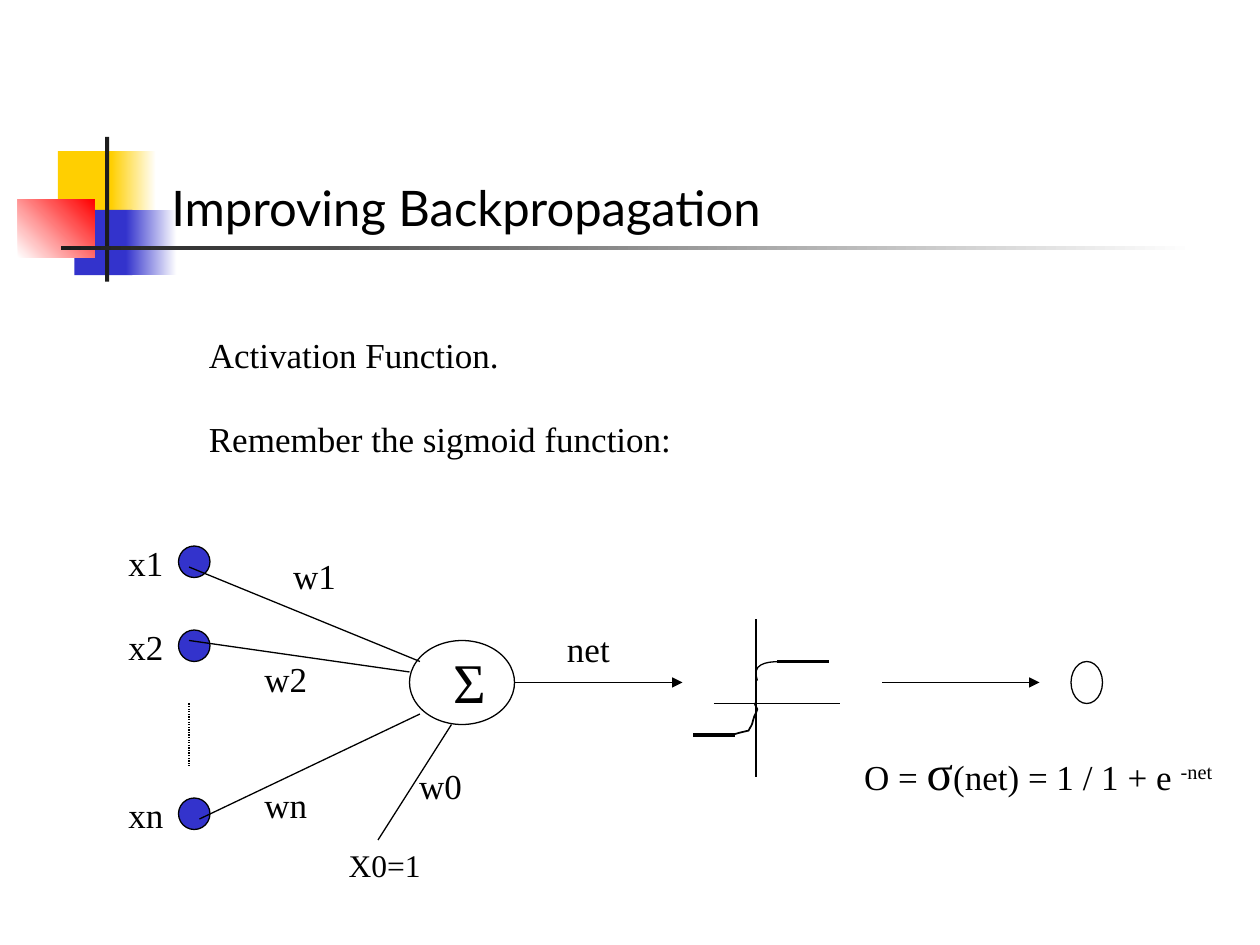
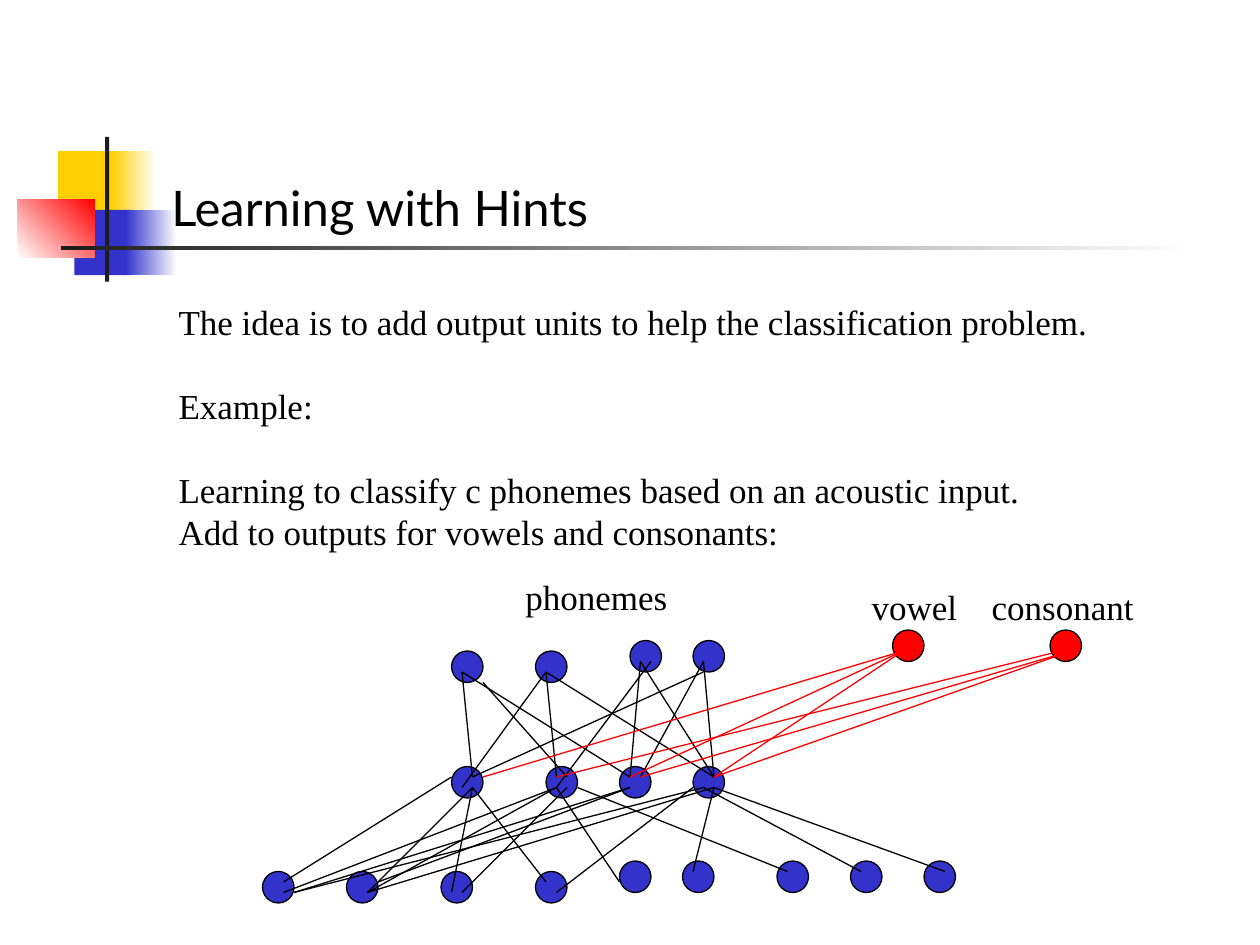
"""Build two neural network slides: the sigmoid unit and learning with hints."""
from dataclasses import dataclass
from typing import NamedTuple

from lxml import etree
from pptx import Presentation
from pptx.dml.color import RGBColor
from pptx.enum.dml import MSO_LINE
from pptx.enum.shapes import MSO_CONNECTOR, MSO_SHAPE
from pptx.enum.text import MSO_ANCHOR, MSO_AUTO_SIZE, PP_ALIGN
from pptx.oxml.ns import qn
from pptx.util import Cm, Length, Pt

OVAL = MSO_SHAPE.OVAL
RECTANGLE = MSO_SHAPE.RECTANGLE
STRAIGHT = MSO_CONNECTOR.STRAIGHT
DOTTED = MSO_LINE.ROUND_DOT
BOTTOM = MSO_ANCHOR.BOTTOM
LEFT = PP_ALIGN.LEFT
NO_AUTO_SIZE = MSO_AUTO_SIZE.NONE
FIT_SHAPE = MSO_AUTO_SIZE.SHAPE_TO_FIT_TEXT

GRID_CM = 2.54 / 12
DOT_SIZE = 3
TITLE_ONLY = 5
CURVE_STEPS = 8
FIRST_BAND_ID = 101


@dataclass(frozen=True)
class Theme:
    """Colours, fonts and type sizes of the presentation."""
    black: RGBColor = RGBColor(0x00, 0x00, 0x00)
    white: RGBColor = RGBColor(0xFF, 0xFF, 0xFF)
    ink: RGBColor = RGBColor(0x1C, 0x1C, 0x1C)
    blue: RGBColor = RGBColor(0x33, 0x33, 0xCC)
    yellow: RGBColor = RGBColor(0xFF, 0xCF, 0x01)
    red: RGBColor = RGBColor(0xFF, 0x00, 0x00)
    title_font: str = "Lato"
    body_font: str = "Times New Roman"
    title_size: int = 28
    body_size: int = 20
    small_size: int = 18
    sigma_size: int = 28
    sum_size: int = 32
    line_factor: float = 1.2
    thin: float = 0.75
    medium: float = 1
    thick: float = 2.25


THEME = Theme()


class Band(NamedTuple):
    """A master rectangle in centimetres, solid or fading between two colours."""
    left: float
    top: float
    width: float
    height: float
    start: RGBColor
    end: RGBColor | None = None
    angle: int = 0


class Node(NamedTuple):
    """An ellipse in grid units."""
    left: int
    top: int
    fill: RGBColor | None = THEME.blue
    width: int = DOT_SIZE
    height: int = DOT_SIZE


class Link(NamedTuple):
    """A straight line in grid units."""
    x1: int
    y1: int
    x2: int
    y2: int
    color: RGBColor = THEME.black
    weight: float = THEME.thin
    arrow: bool = False
    dotted: bool = False


class Piece(NamedTuple):
    """A run of text with its size."""
    text: str
    size: int = THEME.body_size
    superscript: bool = False


class Line(NamedTuple):
    """A paragraph with the number of free lines above it."""
    pieces: list[Piece]
    gap: int = 0


class Label(NamedTuple):
    """A text box in centimetres."""
    left: float
    top: float
    width: float
    height: float
    lines: list[Line]


BANDS = [
    Band(1.17, 3.05, 1.22, 1.32, THEME.yellow),
    Band(2.24, 3.05, 0.91, 1.32, THEME.yellow, THEME.white),
    Band(1.5, 4.23, 1.17, 1.32, THEME.blue),
    Band(2.54, 4.23, 1.02, 1.32, THEME.blue, THEME.white),
    Band(0.36, 4.02, 1.55, 1.17, THEME.white, THEME.red, 45),
    Band(2.12, 2.76, 0.08, 2.92, THEME.ink),
    Band(1.23, 4.95, 22.86, 0.09, THEME.ink, THEME.white),
]

INPUT_TOPS = {"x1": 52, "x2": 60, "xn": 76}
UNIT_NODES = [Node(17, top) for top in INPUT_TOPS.values()] + [
    Node(39, 61, None, 10, 8), Node(102, 63, None, 3, 4)]
UNIT_LINKS = [
    Link(18, 67, 18, 73, dotted=True),
    Link(18, 54, 40, 63), Link(18, 61, 39, 64), Link(19, 78, 40, 68),
    Link(36, 80, 43, 69),
    Link(49, 65, 65, 65, arrow=True), Link(84, 65, 99, 65, arrow=True),
    Link(68, 67, 80, 67), Link(72, 59, 72, 74),
    Link(66, 70, 70, 70, weight=THEME.thick),
    Link(74, 63, 79, 63, weight=THEME.thick),
]
LOWER_CURVE = [
    (14.73, 14.83), (14.86, 14.78), (14.96, 14.76), (15.09, 14.73),
    (15.19, 14.55), (15.14, 14.66), (15.21, 14.43),
    (15.24, 14.38), (15.27, 14.3), (15.27, 14.3),
    (15.24, 14.25), (15.21, 14.17), (15.21, 14.17),
]
UPPER_CURVE = [(15.27, 13.72), (15.14, 13.39), (15.44, 13.34), (15.7, 13.34)]

ROWS = [
    (73, (43, 52, 59, 66)),
    (83, (25, 33, 42, 51)),
    (82, (59, 65, 74, 81, 88)),
    (62, (43, 51)),
    (61, (60, 66)),
]
HINT_NODES = [Node(left, 60, THEME.red) for left in (85, 100)]
HIDDEN_LINKS = {
    (43, 74): [(27, 84)],
    (45, 75): [(35, 85), (43, 85), (52, 84)],
    (53, 75): [(27, 85), (35, 85), (59, 84)],
    (54, 75): [(44, 85)],
    (55, 75): [(75, 83)],
    (60, 75): [(28, 85), (36, 84)],
    (66, 75): [(53, 85)],
    (67, 75): [(28, 85), (82, 83)],
    (68, 75): [(35, 85), (90, 83), (66, 83)],
}
OUTPUT_LINKS = {
    (44, 64): [(60, 74), (45, 74)],
    (46, 65): [(54, 74)],
    (52, 64): [(68, 74), (53, 74), (44, 75)],
    (61, 63): [(60, 74), (68, 74)],
    (62, 63): [(53, 75)],
    (67, 63): [(68, 74), (61, 74)],
    (67, 64): [(45, 74)],
}
HINT_LINKS = {
    (86, 62): [(46, 74), (60, 74), (68, 74)],
    (101, 62): [(53, 74)],
    (102, 62): [(61, 74), (68, 74)],
}


def grid(units: float) -> Length:
    """Convert grid units to a length."""
    return Cm(units * GRID_CM)


def plain(text: str, size: int = THEME.body_size, gap: int = 0) -> Line:
    """Make a paragraph of a single run."""
    return Line([Piece(text, size)], gap)


def fan(links: dict, color: RGBColor = THEME.black) -> list[Link]:
    """List the links from each unit to its targets."""
    return [Link(*start, *end, color) for start, ends in links.items() for end in ends]


def add_bands(presentation, slide) -> None:
    """Draw the title decoration and move it to the back of the master."""
    master_tree = presentation.slide_master.shapes.element
    for index, band in enumerate(BANDS):
        shape = slide.shapes.add_shape(
            RECTANGLE, Cm(band.left), Cm(band.top), Cm(band.width), Cm(band.height))
        shape.shadow.inherit = False
        shape.line.fill.background()
        if band.end is None:
            shape.fill.solid()
            shape.fill.fore_color.rgb = band.start
        else:
            shape.fill.gradient()
            shape.fill.gradient_angle = band.angle
            for stop, color in zip(shape.fill.gradient_stops, (band.start, band.end)):
                stop.color.rgb = color
        shape.element.nvSpPr.cNvPr.set("id", str(FIRST_BAND_ID + index))
        master_tree.insert(2 + index, shape.element)


def add_titled_slide(presentation, text: str):
    """Add a slide and set its title."""
    slide = presentation.slides.add_slide(presentation.slide_layouts[TITLE_ONLY])
    title = slide.shapes.title
    title.left, title.top, title.width, title.height = Cm(3.2), Cm(1.71), Cm(21.64), Cm(3.18)
    title.text_frame.vertical_anchor = BOTTOM
    title.text_frame.auto_size = NO_AUTO_SIZE
    paragraph = title.text_frame.paragraphs[0]
    paragraph.alignment = LEFT
    run = paragraph.add_run()
    run.text = text
    run.font.name = THEME.title_font
    run.font.size = Pt(THEME.title_size)
    run.font.color.rgb = THEME.black
    return slide


def add_label(slide, label: Label) -> None:
    """Add a text box run by run."""
    box = slide.shapes.add_textbox(
        Cm(label.left), Cm(label.top), Cm(label.width), Cm(label.height))
    frame = box.text_frame
    frame.word_wrap = False
    frame.auto_size = FIT_SHAPE
    for index, line in enumerate(label.lines):
        paragraph = frame.add_paragraph() if index else frame.paragraphs[0]
        pitch = THEME.line_factor * max(piece.size for piece in line.pieces)
        paragraph.line_spacing = Pt(pitch)
        if line.gap:
            paragraph.space_before = Pt(pitch * line.gap)
        for piece in line.pieces:
            run = paragraph.add_run()
            run.text = piece.text
            run.font.name = THEME.body_font
            run.font.size = Pt(piece.size)
            run.font.color.rgb = THEME.black
            if piece.superscript:
                run._r.get_or_add_rPr().set("baseline", "30000")


def add_node(slide, node: Node) -> None:
    """Add an outlined ellipse."""
    shape = slide.shapes.add_shape(
        OVAL, grid(node.left), grid(node.top), grid(node.width), grid(node.height))
    shape.shadow.inherit = False
    if node.fill is None:
        shape.fill.background()
    else:
        shape.fill.solid()
        shape.fill.fore_color.rgb = node.fill
    shape.line.color.rgb = THEME.black
    shape.line.width = Pt(THEME.thin)


def add_link(slide, link: Link) -> None:
    """Add a straight line, dotted or with an arrowhead on request."""
    connector = slide.shapes.add_connector(
        STRAIGHT, grid(link.x1), grid(link.y1), grid(link.x2), grid(link.y2))
    connector.line.color.rgb = link.color
    connector.line.width = Pt(link.weight)
    if link.dotted:
        connector.line.dash_style = DOTTED
    if link.arrow:
        etree.SubElement(connector.get_or_add_ln(), qn("a:tailEnd"), type="triangle")
    etree.SubElement(connector.element.spPr, qn("a:effectLst"))


def add_curve(slide, points: list[tuple[float, float]], weight: float) -> None:
    """Add an open outline through chained cubic curves."""
    vertices = []
    for first in range(0, len(points) - 1, 3):
        controls = points[first:first + 4]
        for step in range(1, CURVE_STEPS + 1):
            t = step / CURVE_STEPS
            weights = ((1 - t) ** 3, 3 * t * (1 - t) ** 2, 3 * t ** 2 * (1 - t), t ** 3)
            vertices.append(tuple(
                Cm(sum(w * point[axis] for w, point in zip(weights, controls)))
                for axis in (0, 1)))
    builder = slide.shapes.build_freeform(Cm(points[0][0]), Cm(points[0][1]))
    builder.add_line_segments(vertices, close=False)
    shape = builder.convert_to_shape()
    shape.shadow.inherit = False
    shape.fill.background()
    shape.line.color.rgb = THEME.black
    shape.line.width = Pt(weight)


def add_diagram(slide, nodes: list[Node], links: list[Link], labels: list[Label]) -> None:
    """Draw nodes, then links, then labels."""
    for draw, items in ((add_node, nodes), (add_link, links), (add_label, labels)):
        for item in items:
            draw(slide, item)


def build_sigmoid_slide(slide) -> None:
    """Draw a unit with weighted inputs and a sigmoid output."""
    formula = Line([Piece("O = "), Piece("σ", THEME.sigma_size),
                    Piece("(net) = 1 / 1 + e "), Piece("-net", superscript=True)])
    labels = [
        Label(3.96, 6.6, 9.83, 2.79, [
            plain("Activation Function."),
            plain("Remember the sigmoid function:", gap=1)]),
        Label(6.78, 16.94, 1.96, 1.02, [plain("X0=1", THEME.small_size)]),
        Label(8.89, 12.93, 1.17, 1.63, [plain("Σ", THEME.sum_size)]),
        Label(17.17, 14.82, 7.52, 1.45, [formula]),
    ]
    labels += [Label(2.34, (top - 1) * GRID_CM, 1.22, 1.12, [plain(name)])
               for name, top in INPUT_TOPS.items()]
    labels += [Label(left, top, 1.37, 1.12, [plain(name)]) for name, left, top in (
        ("w0", 8.2, 15.29), ("w1", 5.66, 11.05), ("w2", 5.08, 13.13),
        ("wn", 5.08, 15.67), ("net", 11.18, 12.52))]
    add_diagram(slide, UNIT_NODES, UNIT_LINKS, labels)
    add_curve(slide, LOWER_CURVE, THEME.medium)
    add_curve(slide, UPPER_CURVE, THEME.thin)


def build_hints_slide(slide) -> None:
    """Draw a phoneme network with two extra hint outputs."""
    nodes = [Node(left, top) for top, lefts in ROWS for left in lefts]
    links = fan(HIDDEN_LINKS) + fan(OUTPUT_LINKS) + fan(HINT_LINKS, THEME.red)
    labels = [
        Label(3.35, 5.93, 18.85, 7.04, [
            plain("The idea is to add output units to help the classification problem."),
            plain("Example:", gap=1),
            plain("Learning to classify c phonemes based on an acoustic input.", gap=1),
            plain("Add to outputs for vowels and consonants:")]),
        Label(10.34, 11.48, 3.38, 1.12, [plain("phonemes")]),
        Label(17.32, 11.68, 2.3, 1.12, [plain("vowel")]),
        Label(19.74, 11.68, 3.38, 1.12, [plain("consonant")]),
    ]
    add_diagram(slide, nodes + HINT_NODES, links, labels)


def main() -> None:
    """Build and save the presentation."""
    presentation = Presentation()
    presentation.slide_width, presentation.slide_height = Cm(25.4), Cm(19.05)
    sigmoid_slide = add_titled_slide(presentation, "Improving Backpropagation")
    add_bands(presentation, sigmoid_slide)
    build_sigmoid_slide(sigmoid_slide)
    build_hints_slide(add_titled_slide(presentation, "Learning with Hints"))
    presentation.save("out.pptx")


if __name__ == "__main__":
    main()
